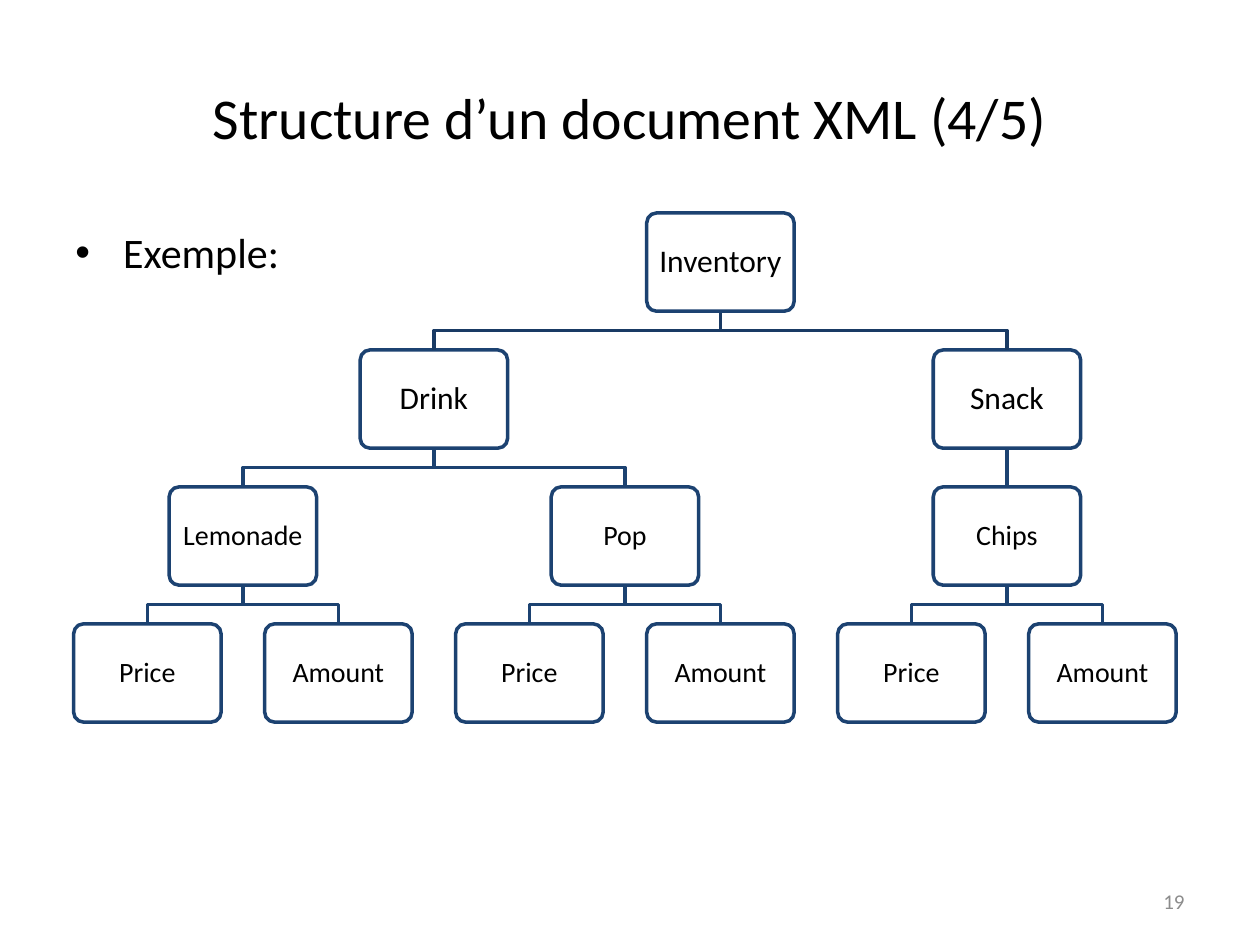
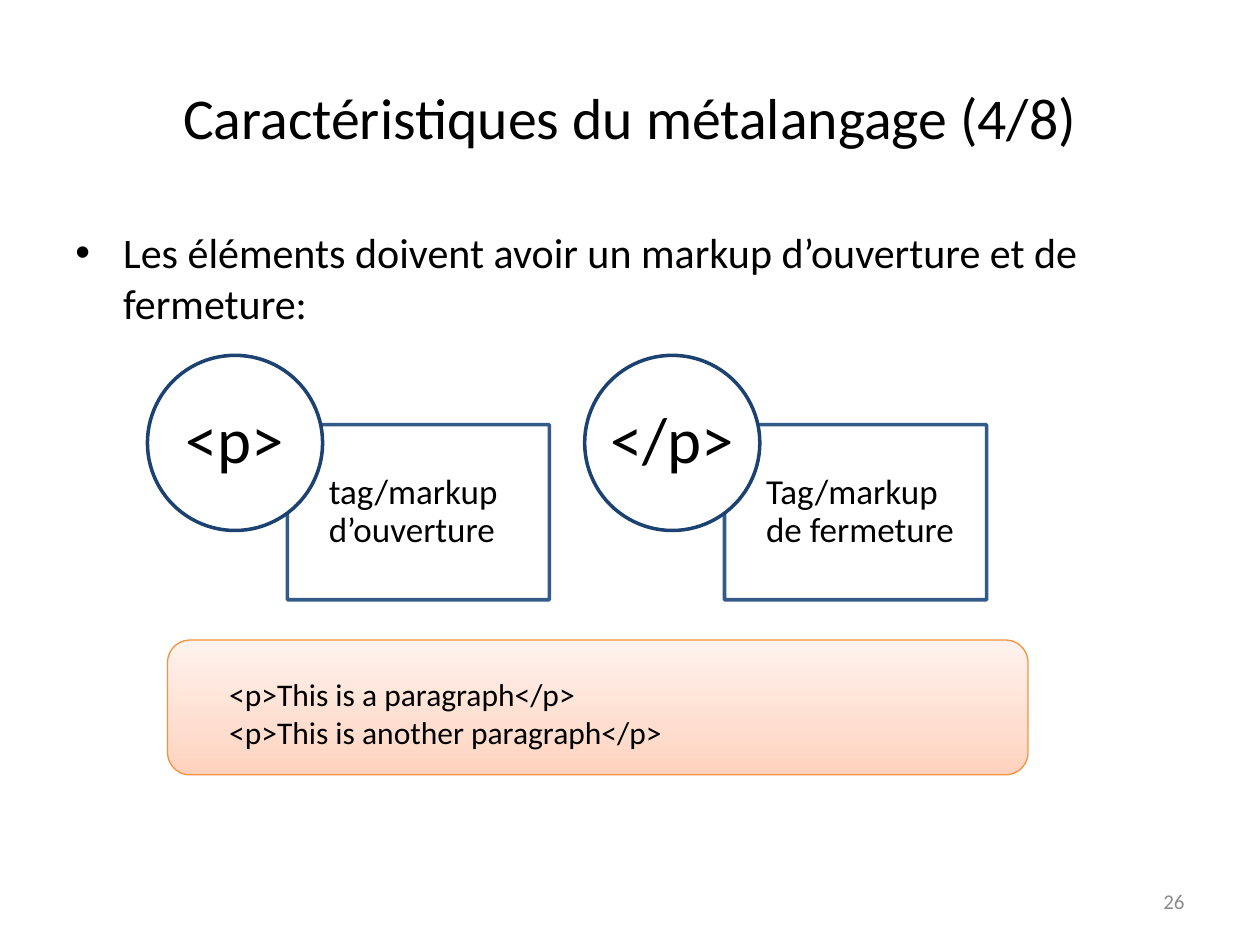
from copy import deepcopy

from lxml.etree import SubElement
from pptx import Presentation
from pptx.dml.color import RGBColor
from pptx.enum.shapes import MSO_CONNECTOR, MSO_SHAPE
from pptx.enum.text import MSO_ANCHOR, PP_ALIGN
from pptx.oxml.ns import qn
from pptx.util import Inches, Pt

FONT = "Calibri"
BLACK, WHITE, GREY = "000000", "FFFFFF", "8C8C8C"
NAVY, DARK, BLUE, ORANGE = "1C4271", "193A64", "1F497D", "F69240"
PEACH = [(0, "FFD2BD"), (0.35, "FFDED0"), (1, "FFF2ED")]
LEFT, CENTER, RIGHT = PP_ALIGN.LEFT, PP_ALIGN.CENTER, PP_ALIGN.RIGHT

NODE_W, NODE_H = 1.17, 0.78
LEAF_X, LEAF_STEP = 1.17, 1.516  # centre of the first leaf, gap between centres
ROOT_Y, ROW_STEP = 1.69, 1.087
LEAVES = [("Price", []), ("Amount", [])]
TREE = ("Inventory", [
    ("Drink", [("Lemonade", LEAVES), ("Pop", LEAVES)]),
    ("Snack", [("Chips", LEAVES)]),
])
NODE_SIZES = [18, 18, 16, 16]


def color(code):
    return RGBColor.from_string(code)


def style(target, values):
    """Set each named attribute on the target."""
    for name, value in values.items():
        setattr(target, name, value)


def write(shape, text, size, align=LEFT, anchor=MSO_ANCHOR.MIDDLE,
          ink=BLACK, margins=(0.1, 0.05, 0.1, 0.05), spacing=None, bullet=False):
    """Fill a shape with one paragraph; margins run left, top, right, bottom."""
    frame = shape.text_frame
    left, top, right, bottom = map(Inches, margins)
    style(frame, {"word_wrap": True, "vertical_anchor": anchor,
                  "margin_left": left, "margin_top": top,
                  "margin_right": right, "margin_bottom": bottom})
    para = frame.paragraphs[0]
    if bullet:
        props = para._p.get_or_add_pPr()
        props.set("marL", str(Inches(0.38)))
        props.set("indent", str(-Inches(0.38)))
        SubElement(props, qn("a:buFont"), typeface="Arial")
        SubElement(props, qn("a:buChar"), char="•")
    style(para, {"text": text, "alignment": align, "line_spacing": spacing})
    for run in para.runs:
        style(run.font, {"name": FONT, "size": Pt(size)})
        run.font.color.rgb = color(ink)


def add_text(slide, box, text, size, **format):
    write(slide.shapes.add_textbox(*map(Inches, box)), text, size, **format)


def set_line(shape, code, width=2):
    shape.line.color.rgb = color(code)
    shape.line.width = Pt(width)


def add_box(slide, kind, box, line, width=2):
    shape = slide.shapes.add_shape(kind, *map(Inches, box))
    shape.shadow.inherit = False
    shape.fill.solid()
    shape.fill.fore_color.rgb = color(WHITE)
    set_line(shape, line, width)
    return shape


def fade(shape, percent):
    """Make the fill and line partly see-through."""
    for tag in list(shape._element.spPr.iter(qn("a:srgbClr"))):
        SubElement(tag, qn("a:alpha"), val=str(percent * 1000))


def blend(shape, stops):
    """Fill with a gradient that rises from the bottom."""
    shape.fill.gradient()
    shape.fill.gradient_angle = 90
    holder = next(shape._element.spPr.iter(qn("a:gsLst")))
    while len(holder) < len(stops):
        holder.append(deepcopy(holder[-1]))
    for stop, (place, code) in zip(shape.fill.gradient_stops, stops):
        stop.position = place
        stop.color.rgb = color(code)


def add_branch(slide, start, end, code):
    """Join a parent to a child, with a bend halfway down if needed."""
    (x1, y1), (x2, y2) = start, end
    if abs(x1 - x2) < 0.01:
        ends = map(Inches, (x1, y1, x2, y2))
        link = slide.shapes.add_connector(MSO_CONNECTOR.STRAIGHT, *ends)
        SubElement(link._element.spPr, qn("a:effectLst"))
        set_line(link, code)
        return
    mid = (y1 + y2) / 2
    pen = slide.shapes.build_freeform(Inches(x1), Inches(y1))
    bends = [(x1, mid), (x2, mid), end]
    pen.add_line_segments([(Inches(x), Inches(y)) for x, y in bends], close=False)
    link = pen.convert_to_shape()
    link.shadow.inherit = False
    link.fill.background()
    set_line(link, code)


def add_tree(slide, node, leaf=0, level=0):
    """Draw a node above its children; return its centre and the next free leaf."""
    label, kids = node
    top = ROOT_Y + level * ROW_STEP
    spots = []
    for kid in kids:
        spot, leaf = add_tree(slide, kid, leaf, level + 1)
        spots.append(spot)
    if kids:
        center = (spots[0] + spots[-1]) / 2
    else:
        center = LEAF_X + leaf * LEAF_STEP
        leaf += 1
    for spot in spots:
        add_branch(slide, (center, top + NODE_H), (spot, top + ROW_STEP),
                   NAVY if level else DARK)
    box = add_box(slide, MSO_SHAPE.ROUNDED_RECTANGLE,
                  (center - NODE_W / 2, top, NODE_W, NODE_H), NAVY)
    box.adjustments[0] = 0.1
    write(box, label, NODE_SIZES[level], align=CENTER, margins=[0.07] * 4, spacing=0.9)
    return center, leaf


def add_tag(slide, left, tag, note):
    """Draw a tag in a circle that overlaps the box with its note."""
    card = add_box(slide, MSO_SHAPE.RECTANGLE, (left + 1.11, 3.37, 2.08, 1.39), BLUE)
    fade(card, 90)
    write(card, note, 20, margins=(0.33, 0.16, 0.16, 0.16), spacing=0.9)
    disc = add_box(slide, MSO_SHAPE.OVAL, (left, 2.82, 1.39, 1.39), NAVY)
    write(disc, tag, 37, align=CENTER, margins=[0] * 4, spacing=0.9)


def add_code(slide, text):
    panel = add_box(slide, MSO_SHAPE.ROUNDED_RECTANGLE,
                    (1.33, 5.08, 6.83, 1.07), ORANGE, 0.75)
    blend(panel, PEACH)
    add_text(slide, (1.72, 5.31, 7.42, 0.71), text, 18, anchor=MSO_ANCHOR.TOP)


def add_slide(deck, title, point, number):
    """Start a slide with its title, bullet point and page number."""
    slide = deck.slides.add_slide(deck.slide_layouts[6])
    add_text(slide, (0.5, 0.3, 9, 1.25), title, 33, align=CENTER)
    add_text(slide, (0.5, 1.75, 9, 4.95), point, 24, anchor=MSO_ANCHOR.TOP, bullet=True)
    add_text(slide, (7.17, 6.95, 2.33, 0.4), str(number), 12, align=RIGHT, ink=GREY)
    return slide


def main():
    deck = Presentation()
    style(deck, {"slide_width": Inches(10), "slide_height": Inches(7.5)})

    slide = add_slide(deck, "Structure d’un document XML (4/5)", "Exemple:", 19)
    add_tree(slide, TREE)

    slide = add_slide(deck, "Caractéristiques du métalangage (4/8)",
                      "Les éléments doivent avoir un markup d’ouverture et de fermeture:", 26)
    add_tag(slide, 1.17, "<p>", "tag/markup d’ouverture")
    add_tag(slide, 4.64, "</p>", "Tag/markup de fermeture")
    add_code(slide, "<p>This is a paragraph</p>\n<p>This is another paragraph</p>")

    deck.save("out.pptx")


if __name__ == "__main__":
    main()
